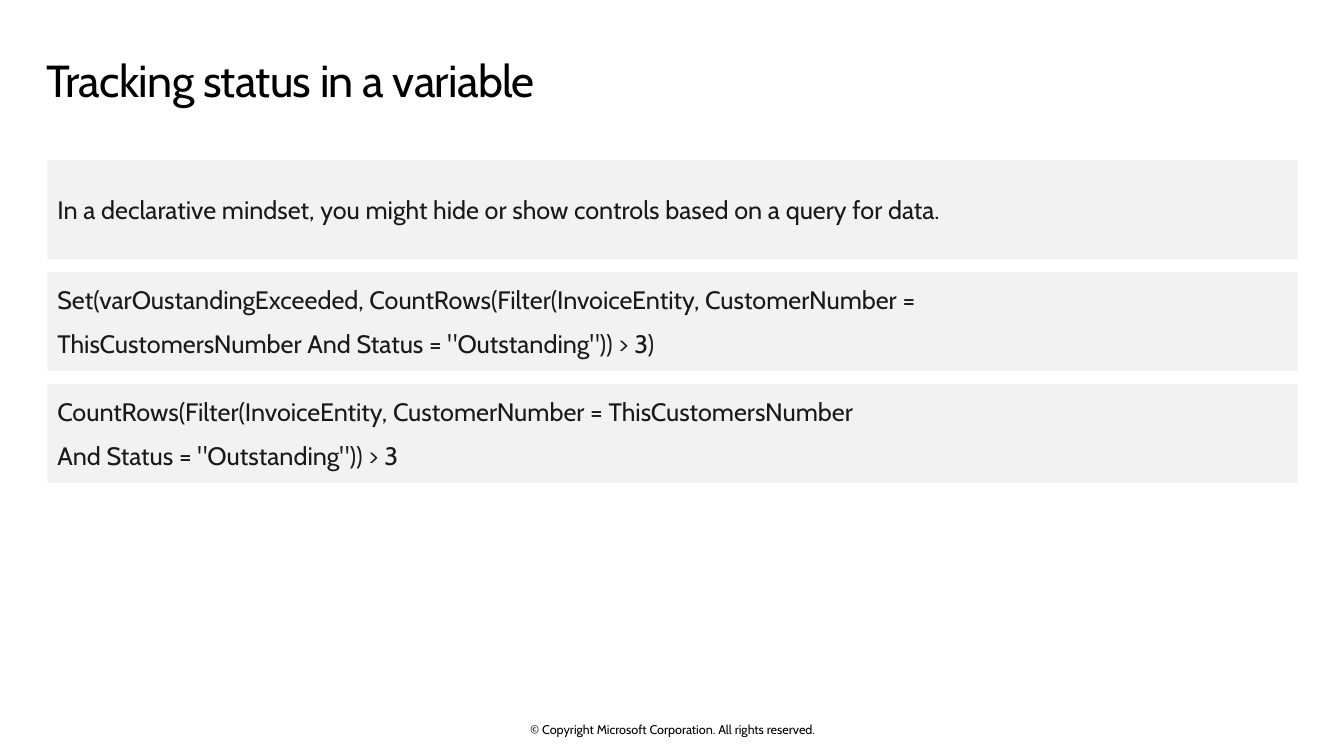
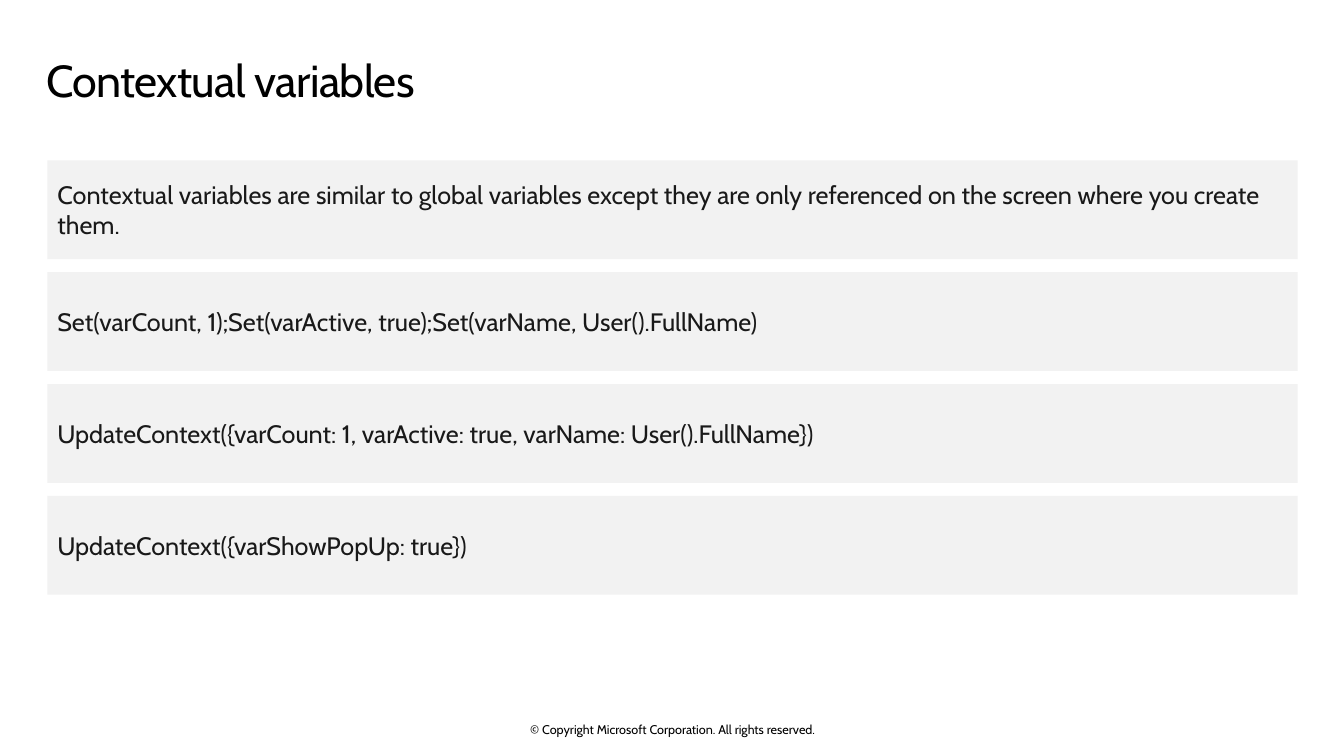
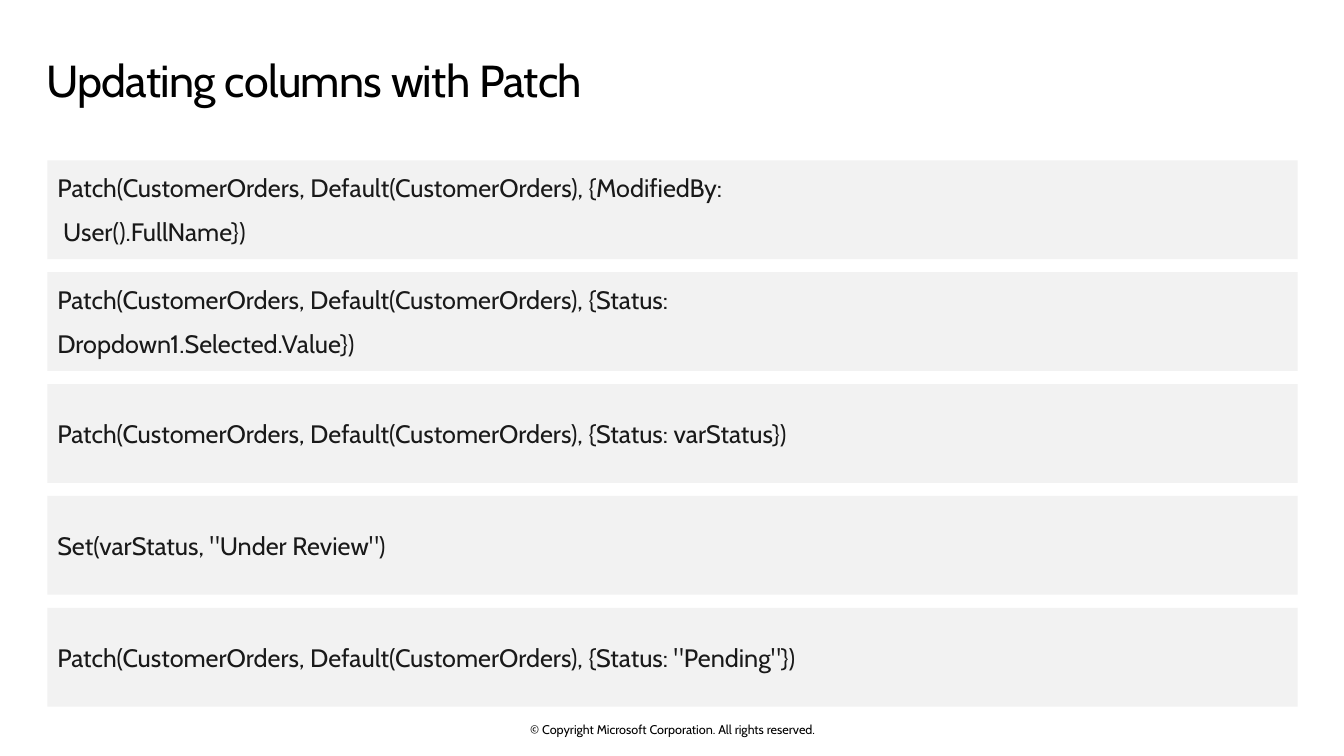
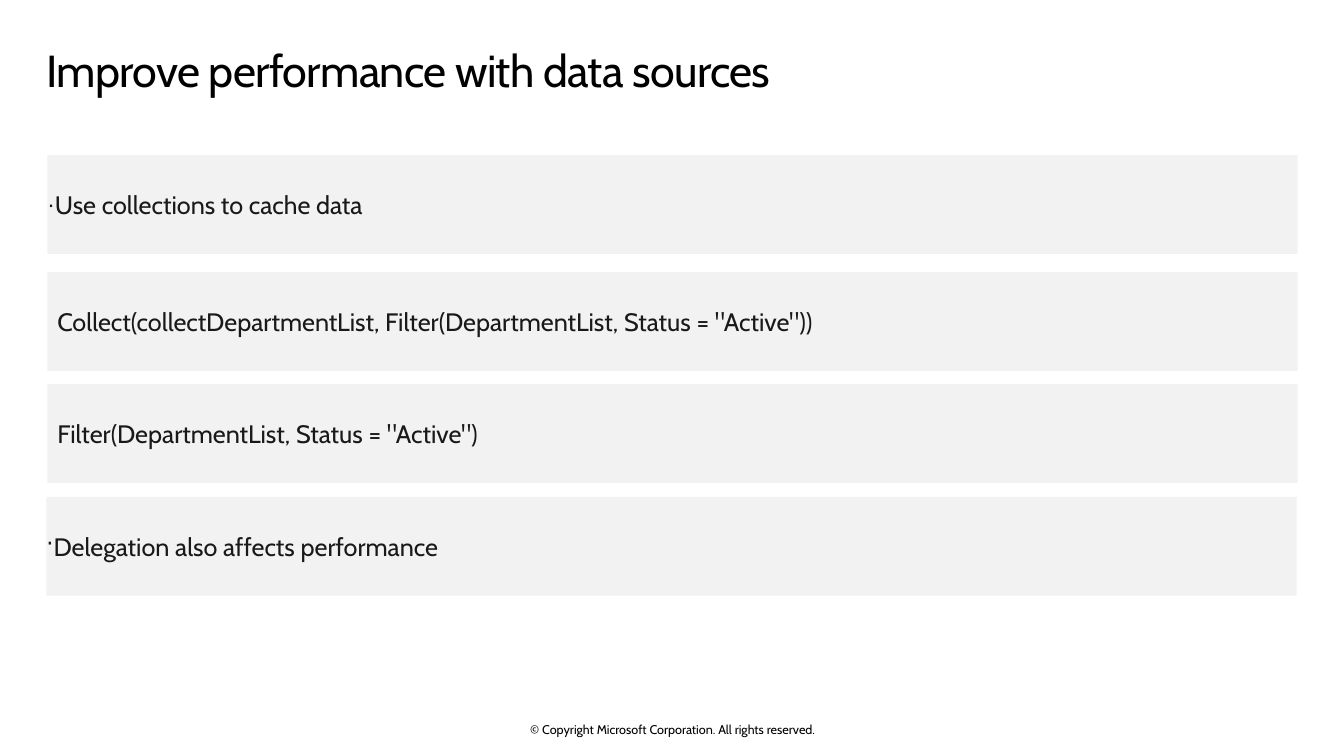
from dataclasses import dataclass

from lxml import etree
from pptx import Presentation
from pptx import util as u
from pptx.dml.color import RGBColor
from pptx.enum import shapes, text
from pptx.oxml.ns import qn


@dataclass(frozen=True)
class Theme:
    font: str = "Cabin"
    black: RGBColor = RGBColor.from_string("000000")
    ink: RGBColor = RGBColor.from_string("191919")
    band: RGBColor = RGBColor.from_string("F2F2F2")
    title_size: int = 32
    body_size: int = 18
    footer_size: int = 9


COPYRIGHT = "© Copyright Microsoft Corporation. All rights reserved."
BAND_LEFT, BAND_TOP = 0.47, 1.59
BAND_WIDTH, BAND_HEIGHT, BAND_GAP = 12.4, 0.98, 0.13


class Deck:
    def __init__(self, theme):
        self.theme = theme
        self.prs = Presentation()
        self.prs.slide_width = u.Inches(13.33)
        self.prs.slide_height = u.Inches(7.5)
        self.slide = None

    def new_slide(self, heading, title_insets=(0, 0.1, 0.16, 0.1)):
        self.slide = self.prs.slides.add_slide(self.prs.slide_layouts[1])
        self.title(heading, title_insets)
        self.footer()

    def place(self, shape, left, top, width, height):
        shape.left, shape.top = u.Inches(left), u.Inches(top)
        shape.width, shape.height = u.Inches(width), u.Inches(height)

    def frame(self, shape, anchor, insets):
        frame = shape.text_frame
        frame.word_wrap = True
        frame.auto_size = text.MSO_AUTO_SIZE.NONE
        frame.vertical_anchor = anchor
        (frame.margin_left, frame.margin_top,
         frame.margin_right, frame.margin_bottom) = map(u.Inches, insets)
        return frame

    def style(self, paragraph, size, color, align=text.PP_ALIGN.LEFT):
        paragraph.alignment = align
        paragraph.font.name = self.theme.font
        paragraph.font.size = u.Pt(size)
        paragraph.font.color.rgb = color

    def title(self, heading, insets):
        title = self.slide.shapes.title
        self.place(title, 0.46, 0.48, 12.4, 0.74)
        frame = self.frame(title, text.MSO_ANCHOR.TOP, insets)
        frame.text = heading
        paragraph = frame.paragraphs[0]
        paragraph.line_spacing = 0.9
        self.style(paragraph, self.theme.title_size, self.theme.black)
        paragraph.runs[0]._r.get_or_add_rPr().set("spc", "-50")

    def footer(self):
        footer = self.slide.shapes.add_textbox(
            u.Inches(4.42), u.Inches(7.16), u.Inches(4.5), u.Inches(0.15))
        frame = self.frame(footer, text.MSO_ANCHOR.MIDDLE, (0, 0, 0, 0))
        frame.text = COPYRIGHT
        self.style(frame.paragraphs[0], self.theme.footer_size,
                   self.theme.black, text.PP_ALIGN.CENTER)

    def bullet(self, paragraph, mark):
        properties = paragraph._p.get_or_add_pPr()
        properties.set("marL", "0")
        properties.set("indent", "0")
        if mark:
            etree.SubElement(properties, qn("a:buSzPct"), val="90000")
            etree.SubElement(properties, qn("a:buChar"), char=mark)
        else:
            etree.SubElement(properties, qn("a:buNone"))

    def band(self, row, content, mark=None, left=BAND_LEFT, nudge=0):
        if row == 0:
            band = self.slide.placeholders[1]
        else:
            band = self.slide.shapes.add_shape(
                shapes.MSO_SHAPE.RECTANGLE, 0, 0, 0, 0)
            band.shadow.inherit = False
        top = BAND_TOP + row * (BAND_HEIGHT + BAND_GAP) + nudge
        self.place(band, left, top, BAND_WIDTH, BAND_HEIGHT)
        band.fill.solid()
        band.fill.fore_color.rgb = self.theme.band
        band.line.fill.background()
        inset = 0 if mark else 0.1
        frame = self.frame(band, text.MSO_ANCHOR.MIDDLE, (inset,) * 4)
        frame.text = content
        for index, paragraph in enumerate(frame.paragraphs):
            self.bullet(paragraph, mark)
            paragraph.space_before = u.Pt(3.9 if index else 0)
            paragraph.space_after = u.Pt(5.9)
            self.style(paragraph, self.theme.body_size, self.theme.ink)

    def bands(self, *contents):
        for row, content in enumerate(contents):
            self.band(row, content)


def main():
    deck = Deck(Theme())

    deck.new_slide("Tracking status in a variable")
    deck.bands(
        "In a declarative mindset, you might hide or show controls based on a query for data.",
        "Set(varOustandingExceeded, CountRows(Filter(InvoiceEntity, CustomerNumber =\n"
        'ThisCustomersNumber And Status = "Outstanding")) > 3)',
        "CountRows(Filter(InvoiceEntity, CustomerNumber = ThisCustomersNumber\n"
        'And Status = "Outstanding")) > 3',
    )

    deck.new_slide("Contextual variables")
    deck.bands(
        "Contextual variables are similar to global variables except they are only "
        "referenced on the screen where you create them.",
        "Set(varCount, 1);Set(varActive, true);Set(varName, User().FullName)",
        "UpdateContext({varCount: 1, varActive: true, varName: User().FullName})",
        "UpdateContext({varShowPopUp: true})",
    )

    deck.new_slide("Updating columns with Patch")
    deck.bands(
        "Patch(CustomerOrders, Default(CustomerOrders), {ModifiedBy:\n User().FullName})",
        "Patch(CustomerOrders, Default(CustomerOrders), {Status:\nDropdown1.Selected.Value})",
        "Patch(CustomerOrders, Default(CustomerOrders), {Status: varStatus})",
        'Set(varStatus, "Under Review")',
        'Patch(CustomerOrders, Default(CustomerOrders), {Status: "Pending"})',
    )

    deck.new_slide("Improve performance with data sources", title_insets=(0, 0, 0, 0))
    deck.band(0, "Use collections to cache data", mark="·", nudge=-0.05)
    deck.band(1, 'Collect(collectDepartmentList, Filter(DepartmentList, Status = "Active"))')
    deck.band(2, 'Filter(DepartmentList, Status = "Active")')
    deck.band(3, "Delegation also affects performance", mark="·", left=0.46, nudge=0.01)

    deck.prs.save("out.pptx")


if __name__ == "__main__":
    main()
